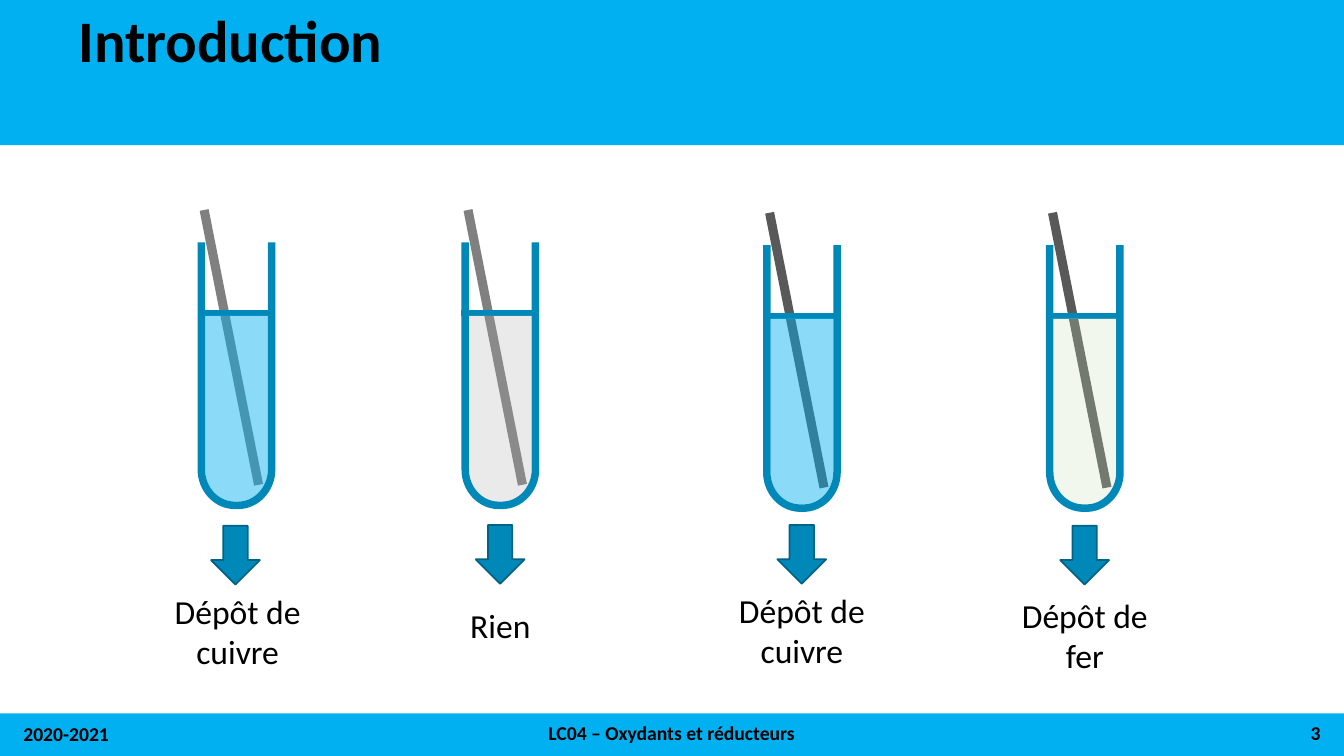
from lxml.etree import SubElement
from pptx import Presentation
from pptx.dml.color import RGBColor
from pptx.enum.shapes import MSO_CONNECTOR, MSO_SHAPE
from pptx.enum.text import MSO_ANCHOR, MSO_AUTO_SIZE, PP_ALIGN
from pptx.oxml.ns import qn
from pptx.util import Cm, Pt

WIDTH, HEIGHT = 33.87, 19.05
TUBE_WIDTH, TUBE_HEIGHT, WALL = 1.96, 6.72, 0.19
ROUND_START = 5.72  # depth below the rim where the round bottom starts
FLAT = 0.04  # half the flat part of the bottom
SURFACE, LIQUID_DEPTH = 1.78, 1.84
ARC = 0.55  # share of the way to the corner for a quarter circle


def color(hex_code):
    return RGBColor.from_string(hex_code)


def quarter(start, corner, end):
    """Control points and end of a quarter ellipse that bends at a corner."""
    return [tuple(a + ARC * (c - a) for a, c in zip(point, corner))
            for point in (start, end)] + [end]


def bottom_curve(first, last, turn, bottom):
    """Steps from one wall to the other along the round bottom."""
    middle = (first + last) / 2
    flat = FLAT if first < last else -FLAT
    near, far = (middle - flat, bottom), (middle + flat, bottom)
    return [quarter((first, turn), (first, bottom), near), [far],
            quarter(far, (last, bottom), (last, turn))]


class SlidePainter:
    font = "Calibri"
    band, glass, outline, ink = "00B0F0", "0088B8", "006386", "000000"

    def __init__(self, page):
        self.page = page

    def paint(self, shape, fill, line=None, opacity=None):
        shape.shadow.inherit = False
        shape.fill.solid()
        shape.fill.fore_color.rgb = color(fill)
        if opacity is not None:
            fill_element = shape.element.spPr.find(qn("a:solidFill"))
            SubElement(fill_element[0], qn("a:alpha"), val=str(opacity * 1000))
        if line:
            shape.line.color.rgb = color(line)
            shape.line.width = Pt(1.25)
        else:
            shape.line.fill.background()
        return shape

    def preset(self, kind, left, top, width, height, fill, line=None):
        shape = self.page.shapes.add_shape(
            kind, Cm(left), Cm(top), Cm(width), Cm(height))
        return self.paint(shape, fill, line)

    def curved_shape(self, steps, fill, opacity=None):
        """Draw steps of one point (straight) or three points (curve)."""
        ends = [(Cm(step[-1][0]), Cm(step[-1][1])) for step in steps]
        builder = self.page.shapes.build_freeform(*ends[0])
        builder.add_line_segments(ends[1:], close=True)
        shape = builder.convert_to_shape()
        segments = list(shape.element.iter(qn("a:lnTo")))
        for segment, step in zip(segments, steps[1:]):
            if len(step) == 3:
                curve = segment.makeelement(qn("a:cubicBezTo"))
                for x, y in step:
                    SubElement(curve, qn("a:pt"), x=str(Cm(x) - shape.left),
                               y=str(Cm(y) - shape.top))
                segment.getparent().replace(segment, curve)
        return self.paint(shape, fill, opacity=opacity)

    def line(self, start, end, width):
        connector = self.page.shapes.add_connector(
            MSO_CONNECTOR.STRAIGHT, *(Cm(value) for value in start + end))
        connector.line.color.rgb = color(self.glass)
        connector.line.width = Pt(width)
        SubElement(connector.element.spPr, qn("a:effectLst"))
        return connector

    def text(self, words, left, top, width, height, size=14, bold=True,
             align=PP_ALIGN.LEFT, margin=0.25, spacing=1.0, box=None):
        """Write one paragraph in a new text box, or in the given box."""
        if box is None:
            box = self.page.shapes.add_textbox(0, 0, 0, 0)
        box.left, box.top, box.width, box.height = map(
            Cm, (left, top, width, height))
        frame = box.text_frame
        frame.word_wrap = True
        frame.auto_size = MSO_AUTO_SIZE.NONE
        frame.vertical_anchor = MSO_ANCHOR.MIDDLE
        frame.margin_left = frame.margin_right = Cm(margin)
        para = frame.paragraphs[0]
        para.alignment = align
        para.line_spacing = spacing
        span = para.add_run()
        span.text = words
        span.font.name = self.font
        span.font.size = Pt(size)
        span.font.bold = bold
        span.font.color.rgb = color(self.ink)

    def layout_bands(self):
        """Place the top and bottom bands on the layout, behind everything."""
        layout_tree = self.page.slide_layout.shapes.element
        for top, height in ((-0.03, 3.69), (17.98, 1.07)):
            band = self.preset(MSO_SHAPE.RECTANGLE, 0, top, WIDTH, height, self.band)
            layout_tree.insert(2, band.element)

    def frame_page(self, title):
        self.layout_bands()
        self.text(title, 1.73, 0.28, 29.82, 1.65, size=42, spacing=0.9,
                  box=self.page.shapes.title)
        self.text("2020-2021", 0.34, 17.98, 7.62, 1.02)
        self.text("LC04 – Oxydants et réducteurs", 7.95, 17.96, 17.96, 1.02,
                  align=PP_ALIGN.CENTER)
        self.text("3", 25.91, 17.96, 7.62, 1.02, align=PP_ALIGN.RIGHT)

    def test_tube(self, left, top, rod, liquid, opacity):
        """Draw the rod, the glass, the liquid surface and the liquid."""
        right, turn, bottom = left + TUBE_WIDTH, top + ROUND_START, top + TUBE_HEIGHT
        inner_left, inner_right = left + WALL, right - WALL
        inner_bottom = bottom - WALL

        stick = self.preset(MSO_SHAPE.RECTANGLE, left - 2.68, top + 2.53,
                            7.06, 0.23, rod)
        stick.rotation = 78.8
        glass = self.curved_shape(
            [[(left, top)], [(inner_left, top)], [(inner_left, turn)],
             *bottom_curve(inner_left, inner_right, turn, inner_bottom),
             [(inner_right, top)], [(right, top)], [(right, turn)],
             *bottom_curve(right, left, turn, bottom)], self.glass)
        surface = top + SURFACE
        level_line = self.line((left, surface), (left + 1.82, surface), 3.75)
        self.page.shapes.add_group_shape([glass, level_line])
        level = top + LIQUID_DEPTH
        self.curved_shape(
            [[(inner_left, level)], [(inner_right, level)], [(inner_right, turn)],
             *bottom_curve(inner_right, inner_left, turn, inner_bottom)],
            liquid, opacity)

    def result(self, arrow_left, arrow_top, words, text_left, text_top):
        self.preset(MSO_SHAPE.DOWN_ARROW, arrow_left, arrow_top, 1.23, 1.48,
                    self.glass, self.outline)
        self.text(words, text_left, text_top, 3.68, 2.46, size=24, bold=False,
                  align=PP_ALIGN.CENTER, margin=0.15)


def main():
    deck = Presentation()
    deck.slide_width, deck.slide_height = Cm(WIDTH), Cm(HEIGHT)
    painter = SlidePainter(deck.slides.add_slide(deck.slide_layouts[5]))
    painter.frame_page("Introduction")

    # tube: left, top, rod, liquid, opacity
    # result: arrow left, arrow top, words, text left, text top
    experiments = [
        ((4.98, 6.11, "808080", "00B0F0", 46),
         (5.32, 13.25, "Dépôt de cuivre", 4.15, 14.67)),
        ((11.63, 6.11, "808080", "AFABAB", 24),
         (11.99, 13.23, "Rien", 10.77, 14.53)),
        ((19.23, 6.18, "595959", "00B0F0", 46),
         (19.59, 13.23, "Dépôt de cuivre", 18.37, 14.65)),
        ((26.36, 6.18, "595959", "C5E0B4", 24),
         (26.72, 13.25, "Dépôt de fer", 25.5, 14.77)),
    ]
    for tube, result in experiments:
        painter.test_tube(*tube)
        painter.result(*result)
    deck.save("out.pptx")


if __name__ == "__main__":
    main()
